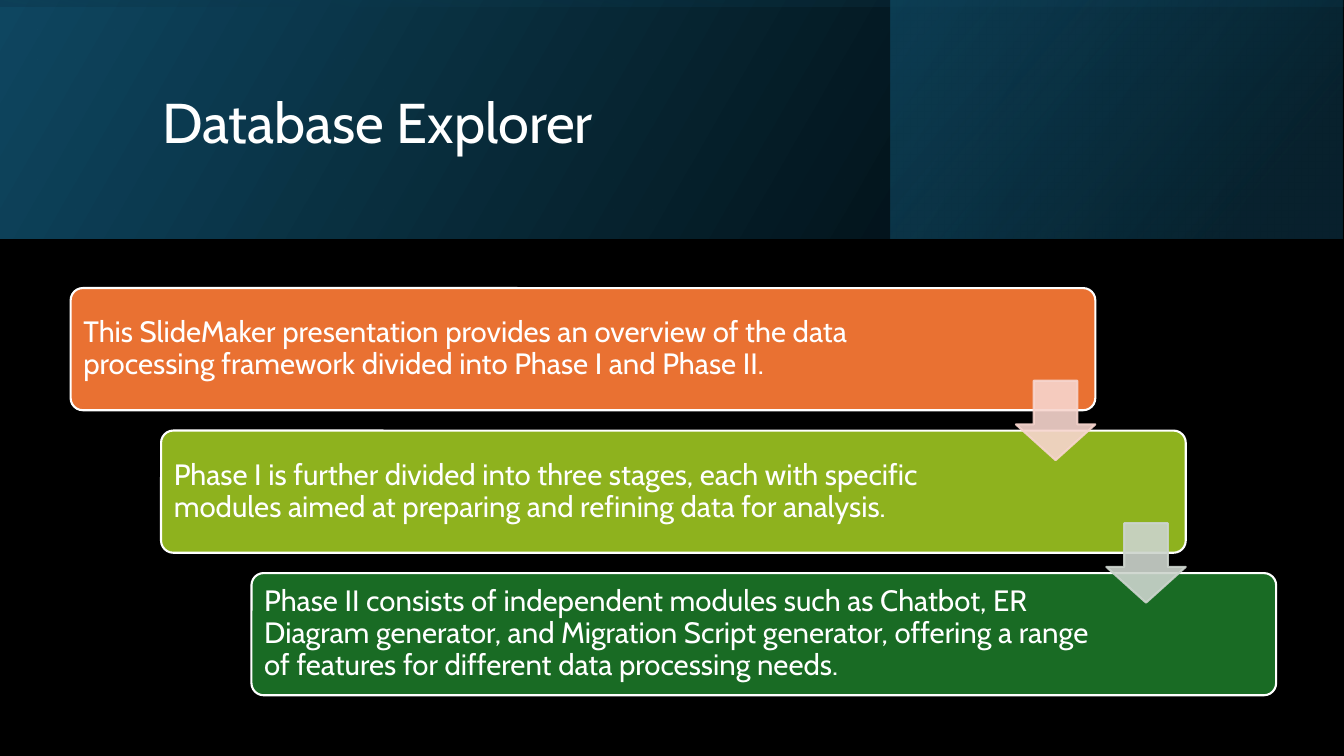
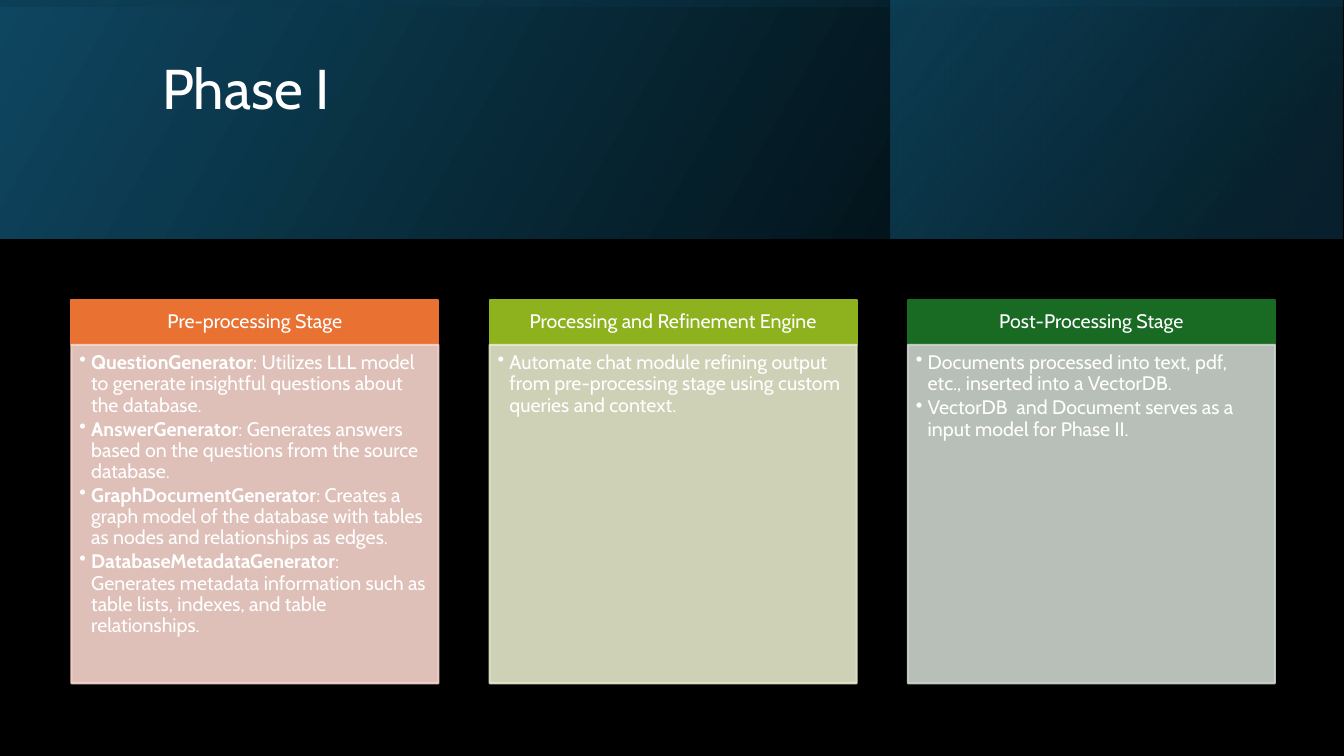
from dataclasses import dataclass

from lxml import etree
from pptx import Presentation
from pptx import util as u
from pptx.dml.color import RGBColor
from pptx.enum import shapes, text
from pptx.oxml.ns import qn

SHAPE = shapes.MSO_SHAPE
ANCHOR = text.MSO_ANCHOR
ALIGN = text.PP_ALIGN


@dataclass(frozen=True)
class Theme:
    font: str = "Cabin"
    title_size: int = 40
    card_size: int = 21
    column_size: int = 14
    line_width: float = 1.5
    spacing: float = 0.9
    tint_alpha: int = 90
    black: str = "000000"
    white: str = "FFFFFF"
    navy: str = "104862"
    deep: str = "0B3041"
    teal: str = "156082"
    accents: tuple = ("E97132", "8EB21E", "196B24")
    tints: tuple = ("F7D5CE", "E5E8CA", "CCD4CD")


@dataclass(frozen=True)
class Box:
    x: float
    y: float
    w: float
    h: float

    def emu(self):
        return [u.Cm(v) for v in (self.x, self.y, self.w, self.h)]


T = Theme()
SLIDE = Box(0, 0, 33.87, 19.05)
BAND = Box(0, 0, SLIDE.w, 6.02)
TITLE = Box(3.84, 0.97, 27, 4.37)
CASCADE = Box(1.78, 7.26, 30.38, 10.26)
COLUMNS = Box(1.8, 7.57, 30.33, 9.65)

CARDS = [
    ("This SlideMaker presentation provides an overview of the data "
     "processing framework divided into Phase I and Phase II.", 3.36),
    ("Phase I is further divided into three stages, each with specific "
     "modules aimed at preparing and refining data for analysis.", 4.5),
    ("Phase II consists of independent modules such as Chatbot, ER Diagram "
     "generator, and Migration Script generator, offering a range of features "
     "for different data processing needs.", 4.5),
]

STAGES = [
    ("Pre-processing Stage", [
        ("QuestionGenerator", ": Utilizes LLL model to generate insightful "
         "questions about the database."),
        ("AnswerGenerator", ": Generates answers based on the questions from "
         "the source database."),
        ("GraphDocumentGenerator", ": Creates a graph model of the database "
         "with tables as nodes and relationships as edges."),
        ("DatabaseMetadataGenerator", ": Generates metadata information such "
         "as table lists, indexes, and table relationships."),
    ]),
    ("Processing and Refinement Engine", [
        ("", "Automate chat module refining output from pre-processing stage "
         "using custom queries and context."),
    ]),
    ("Post-Processing Stage", [
        ("", "Documents processed into text, pdf, etc., inserted into a VectorDB."),
        ("", "VectorDB  and Document serves as a input model for Phase II."),
    ]),
]


def rgb(color):
    return RGBColor.from_string(color)


def set_alpha(colors, percent):
    for color in colors:
        etree.SubElement(color, qn("a:alpha")).set("val", str(percent * 1000))


def add_shape(s, kind, box, fill, line=None, alpha=100):
    sp = s.shapes.add_shape(kind, *box.emu())
    sp.shadow.inherit = False
    sp.fill.solid()
    sp.fill.fore_color.rgb = rgb(fill)
    if line:
        sp.line.color.rgb = rgb(line)
        sp.line.width = u.Pt(T.line_width)
    else:
        sp.line.fill.background()
    if alpha < 100:
        set_alpha(list(sp.element.spPr.iter(qn("a:srgbClr"))), alpha)
    return sp


def add_gradient(s, box, stops, angle, rotation=0):
    sp = add_shape(s, SHAPE.RECTANGLE, box, T.black)
    sp.rotation = rotation
    sp.element.spPr.xfrm.set("flipH", "1")
    sp.fill.gradient()
    sp.fill.gradient_angle = angle
    for stop, (position, color, alpha) in zip(sp.fill.gradient_stops, stops):
        stop.position = position
        stop.color.rgb = rgb(color)
    colors = sp.element.spPr.iter(qn("a:srgbClr"))
    for color, (position, name, alpha) in zip(list(colors), stops):
        set_alpha([color], alpha)


def set_frame(sp, anchor, insets):
    tf = sp.text_frame
    tf.word_wrap = True
    tf.vertical_anchor = anchor
    tf.margin_left, tf.margin_top, tf.margin_right, tf.margin_bottom = map(u.Cm, insets)
    return tf


def write(p, runs, size, align=ALIGN.LEFT):
    p.alignment = align
    p.line_spacing = T.spacing
    for words, bold in runs:
        r = p.add_run()
        r.text = words
        r.font.name = T.font
        r.font.size = u.Pt(size)
        r.font.bold = bold
        r.font.color.rgb = rgb(T.white)


def set_bullet(p):
    pPr = p._p.get_or_add_pPr()
    pPr.set("marL", str(u.Cm(0.3)))
    pPr.set("indent", str(-u.Cm(0.3)))
    etree.SubElement(pPr, qn("a:buChar")).set("char", "•")


def add_band(s, box):
    add_gradient(s, box, [(0, T.black, 96), (1, T.navy, 100)], 30)
    side = Box(box.x + 22.45, box.y, 11.38, box.h)
    add_gradient(s, side, [(0.19, T.deep, 68), (1, T.teal, 48)], 40)
    shift = (box.w - box.h) / 2
    upright = Box(box.x + shift, box.y - shift, box.h, box.w)
    add_gradient(s, upright, [(0.23, T.navy, 16), (0.99, T.black, 45)], 10, 270)


def add_title(s, box, words, lift):
    sp = s.shapes.add_textbox(*Box(box.x, box.y - lift, box.w, box.h).emu())
    tf = set_frame(sp, ANCHOR.MIDDLE, (0.25, 0.13, 0.25, 0.13))
    write(tf.paragraphs[0], [(words, False)], T.title_size)


def add_cascade(s, box, cards):
    w, h = box.w * 0.85, box.h * 0.3
    steps = len(cards) - 1
    dx, dy = (box.w - w) / steps, (box.h - h) / steps
    for i, (words, right_inset) in enumerate(cards):
        card = Box(box.x + i * dx, box.y + i * dy, w, h)
        sp = add_shape(s, SHAPE.ROUNDED_RECTANGLE, card, T.accents[i], T.white)
        sp.adjustments[0] = 0.1
        tf = set_frame(sp, ANCHOR.MIDDLE, (0.23, 0.23, right_inset, 0.23))
        write(tf.paragraphs[0], [(words, False)], T.card_size)
    size = h * 0.65
    for i, tint in enumerate((T.tints[0], T.tints[2])):
        middle = box.y + i * dy + (h + dy) / 2
        arrow = Box(box.x + i * dx + w - size, middle - size / 2, size, size)
        sp = add_shape(s, SHAPE.DOWN_ARROW, arrow, tint, tint, T.tint_alpha)
        sp.adjustments[0] = 0.55
        sp.adjustments[1] = 0.45


def add_column(s, box, heading, items, accent, tint):
    head_h = 1.12
    head = Box(box.x, box.y, box.w, head_h)
    sp = add_shape(s, SHAPE.RECTANGLE, head, accent, accent)
    tf = set_frame(sp, ANCHOR.MIDDLE, (0.28, 0.15, 0.28, 0.15))
    write(tf.paragraphs[0], [(heading, False)], T.column_size, ALIGN.CENTER)

    body = Box(box.x, box.y + head_h, box.w, box.h - head_h)
    sp = add_shape(s, SHAPE.RECTANGLE, body, tint, tint, T.tint_alpha)
    tf = set_frame(sp, ANCHOR.TOP, (0.2, 0.2, 0.28, 0.3))
    for i, (name, words) in enumerate(items):
        p = tf.add_paragraph() if i else tf.paragraphs[0]
        runs = [(name, True), (words, False)] if name else [(words, False)]
        write(p, runs, T.column_size)
        p.space_after = u.Pt(2)
        set_bullet(p)


def add_columns(s, box, stages):
    gap = 1.29
    w = (box.w - gap * (len(stages) - 1)) / len(stages)
    for i, (heading, items) in enumerate(stages):
        column = Box(box.x + i * (w + gap), box.y, w, box.h)
        add_column(s, column, heading, items, T.accents[i], T.tints[i])


def add_slide(prs, title, lift=0):
    s = prs.slides.add_slide(prs.slide_layouts[6])
    s.background.fill.solid()
    s.background.fill.fore_color.rgb = rgb(T.black)
    add_band(s, BAND)
    add_title(s, TITLE, title, lift)
    return s


def main():
    prs = Presentation()
    prs.slide_width, prs.slide_height = u.Cm(SLIDE.w), u.Cm(SLIDE.h)
    add_cascade(add_slide(prs, "Database Explorer"), CASCADE, CARDS)
    add_columns(add_slide(prs, "Phase I", lift=0.86), COLUMNS, STAGES)
    prs.save("out.pptx")


if __name__ == "__main__":
    main()
